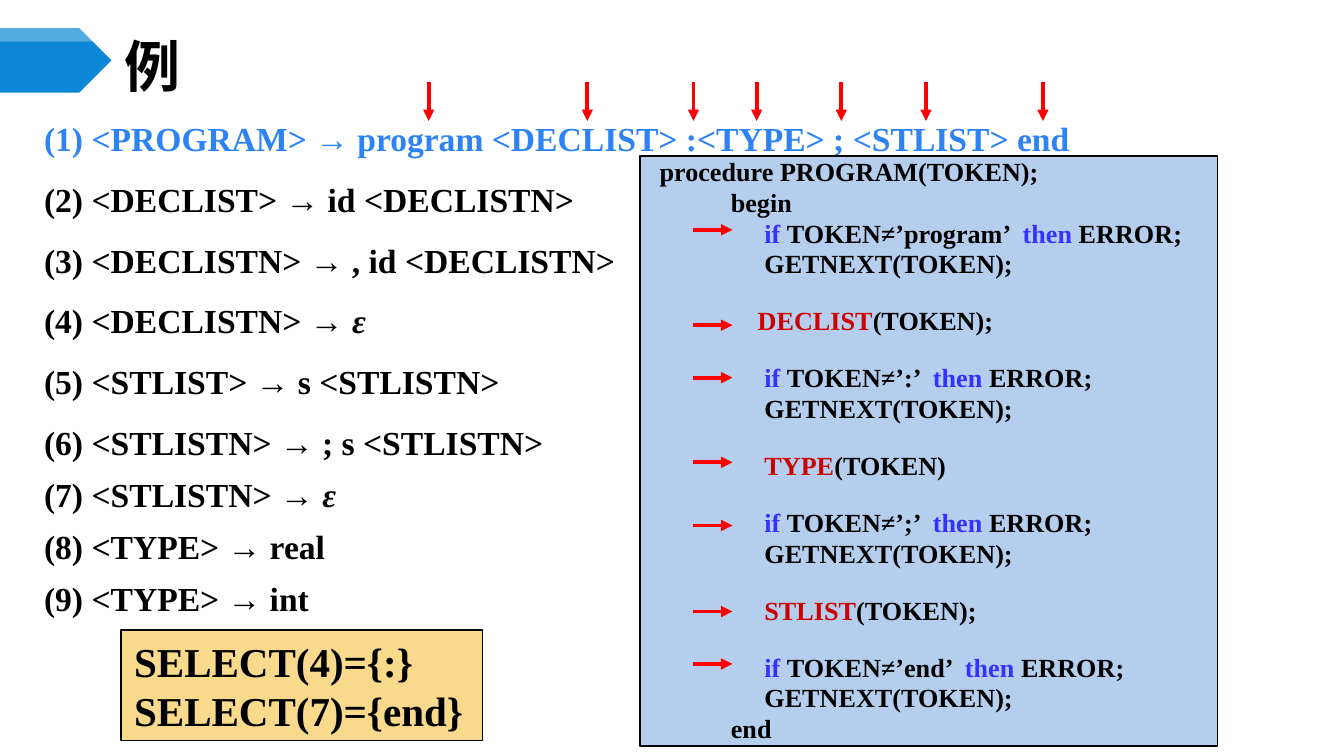
from lxml import etree
from pptx import Presentation
from pptx.dml.color import RGBColor
from pptx.enum.shapes import MSO_CONNECTOR as Connector, MSO_SHAPE as Shape
from pptx.enum.text import MSO_ANCHOR as Anchor, PP_ALIGN as Align
from pptx.oxml.ns import qn
from pptx.util import Inches, Pt

BLACK = RGBColor(0x00, 0x00, 0x00)
WHITE = RGBColor(0xFF, 0xFF, 0xFF)
BANNER_BLUE = RGBColor(0x0B, 0x87, 0xD6)
RULE_BLUE = RGBColor(0x2D, 0x83, 0xF4)
KEYWORD_BLUE = RGBColor(0x33, 0x33, 0xFF)
CALL_RED = RGBColor(0xCC, 0x00, 0x00)
ARROW_RED = RGBColor(0xFF, 0x00, 0x00)
PANEL_BLUE = RGBColor(0xB5, 0xCE, 0xED)
PANEL_GOLD = RGBColor(0xF9, 0xD9, 0x8C)

SERIF = "Times New Roman"
CJK = "Noto Sans CJK SC"

RULES = [
    "<PROGRAM> → program <DECLIST> :<TYPE> ; <STLIST> end",
    "<DECLIST> → id <DECLISTN>",
    "<DECLISTN> → , id <DECLISTN>",
    "<DECLISTN> → ε",
    "<STLIST> → s <STLISTN>",
    "<STLISTN> → ; s <STLISTN>",
    "<STLISTN> → ε",
    "<TYPE> → real",
    "<TYPE> → int",
]

# Each step of the procedure: a token to match, or a routine to call
STEPS = [
    ("match", "program"),
    ("call", "DECLIST", "(TOKEN);"),
    ("match", ":"),
    ("call", "TYPE", "(TOKEN)"),
    ("match", ";"),
    ("call", "STLIST", "(TOKEN);"),
    ("match", "end"),
]
SYMBOL_ARROWS_X = [3.19, 4.37, 5.16, 5.63, 6.26, 6.89, 7.76]
STEP_ARROWS_Y = [1.71, 2.42, 2.81, 3.44, 3.91, 4.55, 4.94]


def add_span(para, text, size=14, color=BLACK, font=SERIF, italic=False):
    span = para.add_run()
    span.text = text
    span.font.name = font
    span.font.size = Pt(size)
    span.font.bold = True
    span.font.italic = italic
    span.font.color.rgb = color
    if font == CJK:
        etree.SubElement(span.font._element, qn("a:ea"), typeface=font)


def add_para(frame, first=False, indent=0, before=0, line=None):
    para = frame.paragraphs[0] if first else frame.add_paragraph()
    para.alignment = Align.LEFT
    if indent:
        properties = para._p.get_or_add_pPr()
        properties.set("marL", str(Inches(indent)))
        properties.set("indent", "0")
    para.space_before = Pt(0 if first else before)
    if line:
        para.line_spacing = Pt(line)
    return para


def add_panel(page, left, top, width, height, fill, anchor=Anchor.TOP, wrap=True):
    box = page.shapes.add_shape(
        Shape.RECTANGLE, Inches(left), Inches(top), Inches(width), Inches(height))
    box.shadow.inherit = False
    box.fill.solid()
    box.fill.fore_color.rgb = fill
    box.line.color.rgb = BLACK
    box.line.width = Pt(1)
    box.text_frame.vertical_anchor = anchor
    box.text_frame.word_wrap = wrap
    return box.text_frame


def add_text_box(page, left, top, width, height, anchor=Anchor.TOP):
    box = page.shapes.add_textbox(
        Inches(left), Inches(top), Inches(width), Inches(height))
    box.text_frame.word_wrap = True
    box.text_frame.vertical_anchor = anchor
    return box.text_frame


def add_outline(page, points, fill, alpha=None):
    corners = [(Inches(x), Inches(y)) for x, y in points]
    builder = page.shapes.build_freeform(*corners[0])
    builder.add_line_segments(corners[1:], close=True)
    outline = builder.convert_to_shape()
    outline.shadow.inherit = False
    outline.fill.solid()
    outline.fill.fore_color.rgb = fill
    outline.line.fill.background()
    if alpha:
        color = outline._element.spPr.find(qn("a:solidFill"))[0]
        etree.SubElement(color, qn("a:alpha"), val=str(alpha * 1000))


def add_arrow(page, x1, y1, x2, y2):
    arrow = page.shapes.add_connector(
        Connector.STRAIGHT, Inches(x1), Inches(y1), Inches(x2), Inches(y2))
    arrow.line.color.rgb = ARROW_RED
    arrow.line.width = Pt(2)
    etree.SubElement(arrow.line._get_or_add_ln(), qn("a:tailEnd"), type="triangle")
    etree.SubElement(arrow._element.spPr, qn("a:effectLst"))


def add_grammar(page):
    frame = add_text_box(page, 0.23, 0.74, 9.53, 3.91)
    for number, rule in enumerate(RULES, 1):
        para = add_para(frame, first=number == 1, line=28,
                        before=4.5 if number <= 6 else 0)
        body, epsilon, _ = rule.partition("ε")
        color = RULE_BLUE if number == 1 else BLACK
        add_span(para, f"({number}) {body}", size=18, color=color)
        if epsilon:
            add_span(para, epsilon, size=18, italic=True)


def add_procedure(page):
    frame = add_panel(page, 4.76, 1.16, 4.3, 4.39, PANEL_BLUE)

    def add_line(*spans, indent=0.83, before=3.5, first=False):
        para = add_para(frame, first=first, indent=indent, before=before, line=13)
        for text, color in spans:
            add_span(para, text, color=color)

    add_line(("procedure PROGRAM(TOKEN);", BLACK), indent=0.05, first=True)
    add_line(("begin", BLACK), indent=0.58)
    for index, (kind, name, *rest) in enumerate(STEPS):
        before = 17.5 if index else 3.5
        if kind == "match":
            add_line(("if ", KEYWORD_BLUE), (f"TOKEN≠’{name}’  ", BLACK),
                     ("then ", KEYWORD_BLUE), ("ERROR;", BLACK), before=before)
            add_line(("GETNEXT(TOKEN);", BLACK))
        else:
            add_line((name, CALL_RED), (rest[0], BLACK), before=before,
                     indent=0.78 if name == "DECLIST" else 0.83)
    add_line(("end", BLACK), indent=0.58)


def main():
    deck = Presentation()
    deck.slide_width, deck.slide_height = Inches(10), Inches(5.625)
    page = deck.slides.add_slide(deck.slide_layouts[6])

    # Banner with its lighter upper edge
    add_outline(page, [(0, 0.21), (0.59, 0.21), (0.83, 0.45), (0.59, 0.69),
                       (0, 0.69)], BANNER_BLUE)
    add_outline(page, [(0, 0.21), (0.78, 0.21), (0.83, 0.26), (0.78, 0.31),
                       (0, 0.31)], WHITE, alpha=30)

    # Select sets
    select = add_panel(page, 0.9, 4.69, 2.69, 0.82, PANEL_GOLD,
                       anchor=Anchor.MIDDLE, wrap=False)
    for index, text in enumerate(["SELECT(4)={:}", "SELECT(7)={end}"]):
        add_span(add_para(select, first=index == 0), text, size=22)

    # Title, grammar and procedure
    title = add_text_box(page, 0.83, 0.29, 8.67, 0.39, anchor=Anchor.MIDDLE)
    add_span(add_para(title, first=True), "例", size=30, font=CJK)
    add_grammar(page)
    add_procedure(page)

    # Arrows at each symbol of rule 1 and at the step that handles it
    for x in SYMBOL_ARROWS_X:
        add_arrow(page, x, 0.61, x, 0.9)
    for y in STEP_ARROWS_Y:
        add_arrow(page, 5.16, y, 5.45, y)

    deck.save("out.pptx")


if __name__ == "__main__":
    main()
